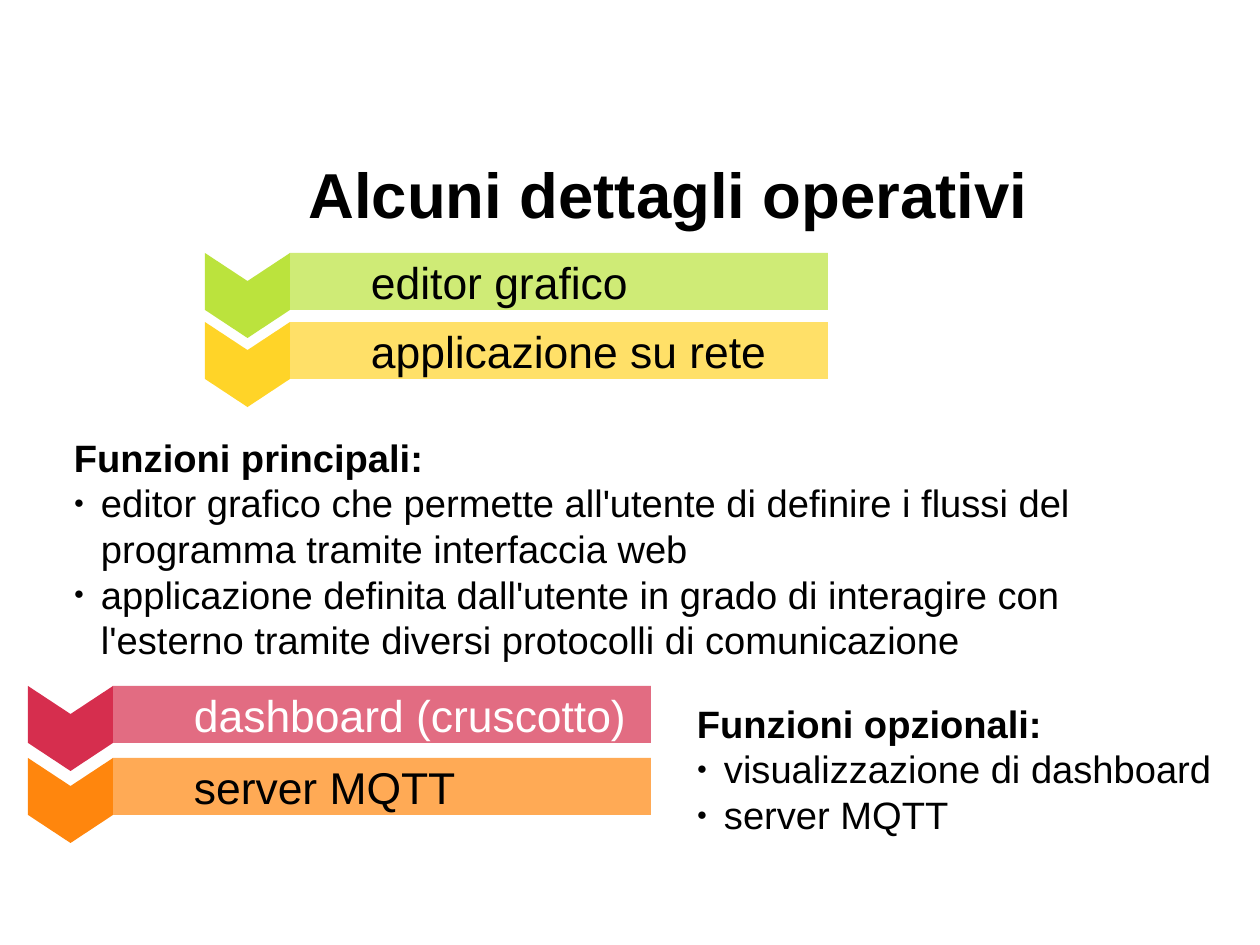
from lxml import etree
from pptx import Presentation
from pptx.dml.color import RGBColor
from pptx.enum.shapes import MSO_SHAPE
from pptx.enum.text import MSO_ANCHOR, MSO_AUTO_SIZE, PP_ALIGN
from pptx.oxml.ns import qn
from pptx.util import Pt

RECTANGLE, CHEVRON = MSO_SHAPE.RECTANGLE, MSO_SHAPE.CHEVRON
TOP, MIDDLE = MSO_ANCHOR.TOP, MSO_ANCHOR.MIDDLE
LEFT, CENTER = PP_ALIGN.LEFT, PP_ALIGN.CENTER
NO_AUTOFIT = MSO_AUTO_SIZE.NONE

BLACK = RGBColor(0x00, 0x00, 0x00)
WHITE = RGBColor(0xFF, 0xFF, 0xFF)
LIME = RGBColor(0xBB, 0xE3, 0x3D)
YELLOW = RGBColor(0xFF, 0xD4, 0x28)
CRIMSON = RGBColor(0xD6, 0x2E, 0x4E)
ORANGE = RGBColor(0xFF, 0x86, 0x0D)

FONT = "Arial"
TWO_CONTENT_LAYOUT = 3
EMU_PER_PX = 8000
SLIDE_WIDTH, SLIDE_HEIGHT = 1260, 945
CHEVRON_SIZE = 85
BANNER_WIDTH, BANNER_HEIGHT = 538, 57
BANNER_INDENT = 67
BULLET_INDENT = 27


def px(length):
    return length * EMU_PER_PX


def place(shape, left, top, width, height):
    shape.left, shape.top = px(left), px(top)
    shape.width, shape.height = px(width), px(height)


def set_frame(shape, side, top, bottom, anchor):
    """Set the insets and anchor of a shape's text frame."""
    frame = shape.text_frame
    frame.word_wrap = True
    frame.auto_size = NO_AUTOFIT
    frame.vertical_anchor = anchor
    frame.margin_left = frame.margin_right = px(side)
    frame.margin_top, frame.margin_bottom = px(top), px(bottom)
    return frame


def write(frame, text, *, size, color=BLACK, bold=False, align=LEFT,
          line_spacing=1.0, indent=0, bullet=False):
    """Write one paragraph, filling the empty first one before adding more."""
    paragraph = frame.paragraphs[-1]
    if paragraph.runs:
        paragraph = frame.add_paragraph()
    paragraph.alignment = align
    paragraph.line_spacing = line_spacing
    paragraph.space_before = paragraph.space_after = Pt(0)
    run = paragraph.add_run()
    run.text = text
    run.font.name, run.font.size, run.font.bold = FONT, Pt(size), bold
    run.font.color.rgb = color

    properties = paragraph._p.get_or_add_pPr()
    properties.set("marL", str(px(indent)))
    properties.set("indent", str(-px(indent) if bullet else 0))
    if bullet:
        bullet_color = etree.SubElement(properties, qn("a:buClr"))
        etree.SubElement(bullet_color, qn("a:srgbClr"), val=str(color))
        etree.SubElement(properties, qn("a:buSzPct"), val="45000")
        etree.SubElement(properties, qn("a:buFont"), typeface=FONT)
        etree.SubElement(properties, qn("a:buChar"), char="●")
    else:
        etree.SubElement(properties, qn("a:buNone"))


def add_filled(slide, kind, left, top, width, height, color):
    shape = slide.shapes.add_shape(
        kind, px(left), px(top), px(width), px(height))
    shape.shadow.inherit = False
    shape.fill.solid()
    shape.fill.fore_color.rgb = color
    shape.line.fill.background()
    return shape


def add_step(slide, left, top, label, color, label_color=BLACK):
    """Add a chevron pointing down with a translucent banner beside it."""
    banner = add_filled(slide, RECTANGLE, left + CHEVRON_SIZE, top,
                        BANNER_WIDTH, BANNER_HEIGHT, color)
    banner_color = banner.element.spPr.find(
        f"{qn('a:solidFill')}/{qn('a:srgbClr')}")
    etree.SubElement(banner_color, qn("a:alpha"), val="70000")
    write(set_frame(banner, 14, 8, 8, MIDDLE), label, size=28,
          color=label_color, indent=BANNER_INDENT)

    chevron = add_filled(slide, CHEVRON, left, top,
                         CHEVRON_SIZE, CHEVRON_SIZE, color)
    chevron.adjustments[0] = 0.33
    chevron.rotation = 90


def fill_list(body, box, heading, items):
    place(body, *box)
    frame = set_frame(body, 11, 6, 6, TOP)
    write(frame, heading, size=24, bold=True)
    for item in items:
        write(frame, item, size=24, indent=BULLET_INDENT, bullet=True)


def main():
    deck = Presentation()
    deck.slide_width, deck.slide_height = px(SLIDE_WIDTH), px(SLIDE_HEIGHT)
    slide = deck.slides.add_slide(deck.slide_layouts[TWO_CONTENT_LAYOUT])
    title, main_functions, optional_functions = slide.placeholders

    # Title
    place(title, 144, 159, 1048, 71)
    write(set_frame(title, 0, 5, 0, MIDDLE), "Alcuni dettagli operativi",
          size=40, bold=True, align=CENTER, line_spacing=0.93)

    # Lists of functions
    fill_list(main_functions, (63, 428, 1109, 224), "Funzioni principali:", [
        "editor grafico che permette all'utente di definire i flussi del "
        "programma tramite interfaccia web",
        "applicazione definita dall'utente in grado di interagire con "
        "l'esterno tramite diversi protocolli di comunicazione",
    ])
    fill_list(optional_functions, (686, 694, 543, 149), "Funzioni opzionali:",
              ["visualizzazione di dashboard", "server MQTT"])

    # Main steps
    add_step(slide, 205, 253, "editor grafico", LIME)
    add_step(slide, 205, 322, "applicazione su rete", YELLOW)

    # Optional steps
    add_step(slide, 28, 686, "dashboard (cruscotto)", CRIMSON, WHITE)
    add_step(slide, 28, 758, "server MQTT", ORANGE)

    deck.save("out.pptx")


if __name__ == "__main__":
    main()
